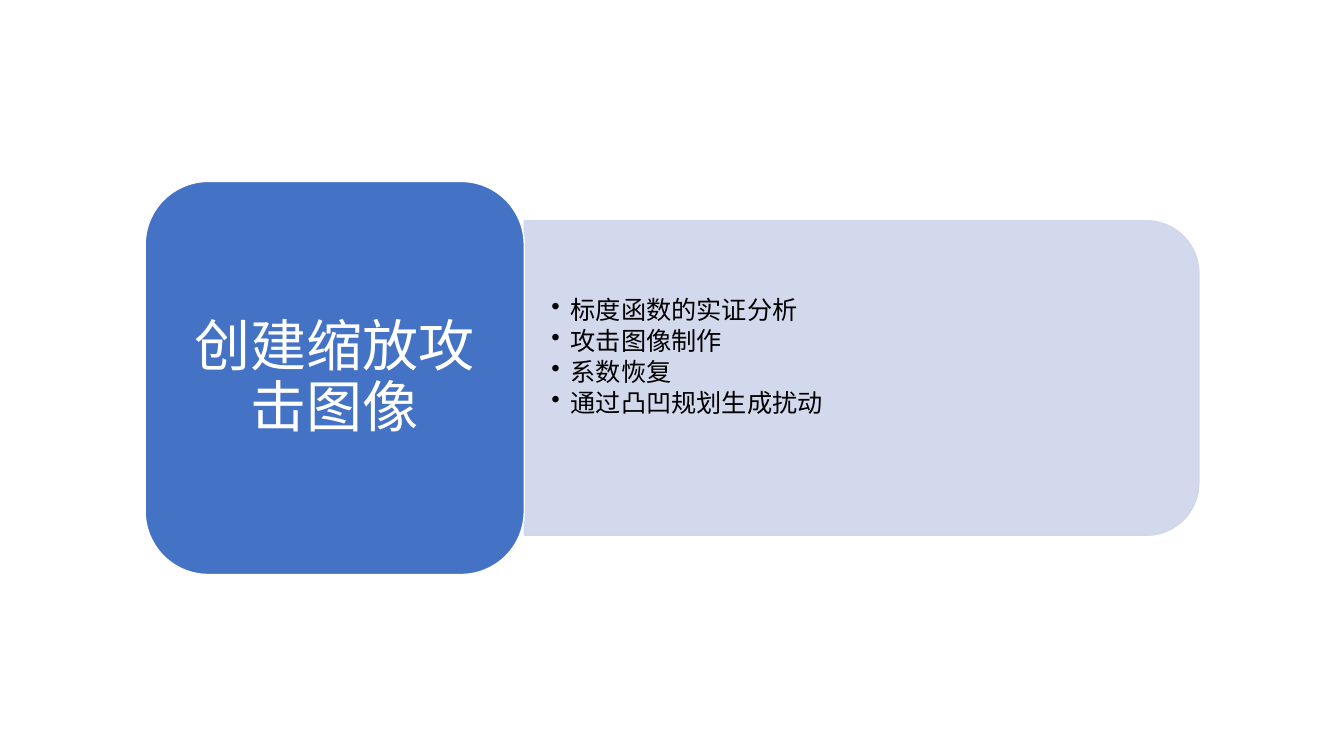
from lxml import etree
from pptx import Presentation, util as u
from pptx.dml.color import RGBColor
from pptx.enum import shapes, text
from pptx.oxml.ns import qn

TITLE = "创建缩放攻击图像"
POINTS = ["标度函数的实证分析", "攻击图像制作", "系数恢复", "通过凸凹规划生成扰动"]
FONT = "Noto Sans CJK SC"
HEX = {"tile": "4472C4", "pane": "CFD5EA", "white": "FFFFFF", "black": "000000"}

# Layout in inches: the tile and the pane share one centre line
LEFT, MID = 1.44, 3.75
TILE_W, TILE_H = 3.76, 3.9
PANE_W, PANE_H = 6.69, 3.12
EDGE = LEFT + TILE_W
TEXT_W, TEXT_H = 6.54, 2.81

prs = Presentation()
prs.slide_width, prs.slide_height = u.Inches(13.33), u.Inches(7.5)
slide = prs.slides.add_slide(prs.slide_layouts[6])


def place(x, w, h):
    """Box with left edge x, centred on the common line."""
    return [u.Inches(v) for v in (x, MID - h / 2, w, h)]


def block(kind, box, fill, line):
    shape = slide.shapes.add_shape(kind, *box)
    shape.shadow.inherit = False
    shape.fill.solid()
    shape.fill.fore_color.rgb = RGBColor.from_string(HEX[fill])
    shape.line.color.rgb = RGBColor.from_string(HEX[line])
    shape.line.width = u.Pt(1)
    return shape


def write(frame, lines, size, color, pitch, after, align, pads):
    frame.word_wrap = True
    frame.vertical_anchor = text.MSO_ANCHOR.MIDDLE
    (frame.margin_left, frame.margin_top,
     frame.margin_right, frame.margin_bottom) = [u.Inches(p) for p in pads]
    for i, words in enumerate(lines):
        par = frame.paragraphs[0] if i == 0 else frame.add_paragraph()
        par.alignment = align
        par.line_spacing, par.space_after = u.Pt(pitch), u.Pt(after)
        par.font.size, par.font.name = u.Pt(size), FONT
        par.font.color.rgb = RGBColor.from_string(HEX[color])
        run = par.add_run()
        run.text = words
        etree.SubElement(run.font._element, qn("a:ea"), typeface=FONT)


# Pane: turned a quarter so that its rounded corners face right
pane = block(shapes.MSO_SHAPE.ROUND_2_SAME_RECTANGLE,
             place(EDGE + (PANE_W - PANE_H) / 2, PANE_H, PANE_W), "pane", "pane")
pane.rotation = 90
for color in pane._element.spPr.iter(qn("a:srgbClr")):
    etree.SubElement(color, qn("a:alpha"), val="90000")

# Bulleted points
body = slide.shapes.add_textbox(*place(EDGE, TEXT_W, TEXT_H)).text_frame
write(body, POINTS, 18, "black", 19.5, 2.7, text.PP_ALIGN.LEFT,
      (0.27, 0.14, 0.27, 0.55))
indent = u.Inches(0.19)
for par in body.paragraphs:
    props = par._p.get_or_add_pPr()
    props.set("marL", str(indent))
    props.set("indent", str(-indent))
    bullet = etree.Element(qn("a:buChar"), char="•")
    props.find(qn("a:defRPr")).addprevious(bullet)

# Title tile
tile = block(shapes.MSO_SHAPE.ROUNDED_RECTANGLE,
             place(LEFT, TILE_W, TILE_H), "tile", "white")
write(tile.text_frame, [TITLE], 40, "white", 43.6, 0, text.PP_ALIGN.CENTER,
      (0.17, 0.08, 0.17, 0.08))

prs.save("out.pptx")
